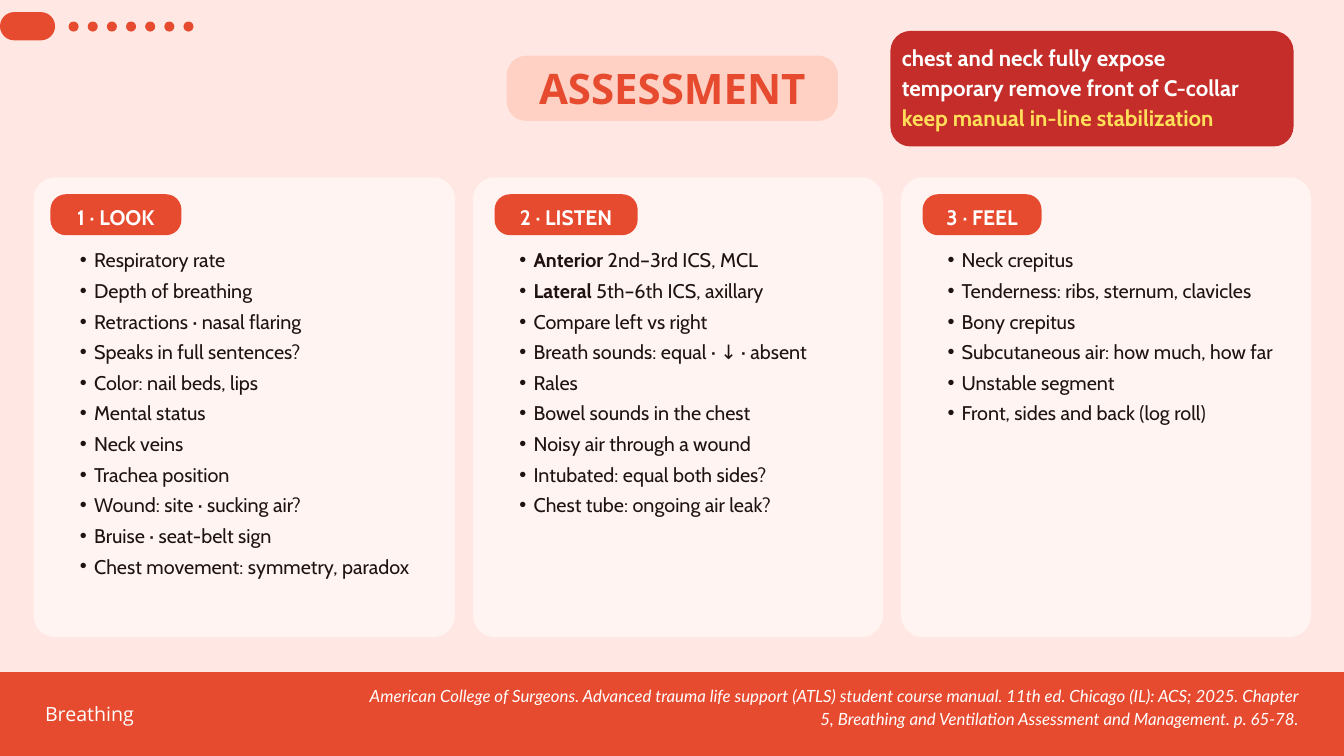
from lxml.etree import SubElement
from pptx import Presentation
from pptx.dml.color import RGBColor
from pptx.enum.shapes import MSO_SHAPE
from pptx.enum.text import MSO_ANCHOR, MSO_AUTO_SIZE, PP_ALIGN
from pptx.oxml.ns import qn
from pptx.util import Inches, Pt

BLUSH = RGBColor(0xFF, 0xE8, 0xE3)
ORANGE = RGBColor(0xE7, 0x4B, 0x2F)
PEACH = RGBColor(0xFF, 0xD0, 0xC4)
CREAM = RGBColor(0xFF, 0xF4, 0xF1)
RED = RGBColor(0xC4, 0x2D, 0x29)
YELLOW = RGBColor(0xFF, 0xDE, 0x59)
WHITE = RGBColor(0xFF, 0xFF, 0xFF)
INK = RGBColor(0x1F, 0x12, 0x10)

CARD_TOP, CARD_HEIGHT, CARD_GAP = 2.64, 6.84, 0.27

STEPS = [
    ("1 · LOOK", 6.27, 0.25, 1.95, [
        "Respiratory rate", "Depth of breathing", "Retractions · nasal flaring",
        "Speaks in full sentences?", "Color: nail beds, lips", "Mental status",
        "Neck veins", "Trachea position", "Wound: site · sucking air?",
        "Bruise · seat-belt sign", "Chest movement: symmetry, paradox"]),
    ("2 · LISTEN", 6.1, 0.32, 2.13, [
        ("Anterior", " 2nd–3rd ICS, MCL"), ("Lateral", " 5th–6th ICS, axillary"),
        "Compare left vs right", "Breath sounds: equal · ↓ · absent", "Rales",
        "Bowel sounds in the chest", "Noisy air through a wound",
        "Intubated: equal both sides?", "Chest tube: ongoing air leak?"]),
    ("3 · FEEL", 6.1, 0.32, 1.77, [
        "Neck crepitus", "Tenderness: ribs, sternum, clavicles", "Bony crepitus",
        "Subcutaneous air: how much, how far", "Unstable segment",
        "Front, sides and back (log roll)"]),
]

CITATION = (
    "American College of Surgeons. Advanced trauma life support (ATLS) student "
    "course manual. 11th ed. Chicago (IL): ACS; 2025. Chapter 5, Breathing and "
    "Ventilation Assessment and Management. p. 65-78."
)


def apply(target, values):
    for name, value in values.items():
        setattr(target, name, value)


class SlideBuilder:
    STYLES = {
        "title": ("Open Sans", 45, True, False, 51.7, PP_ALIGN.CENTER),
        "pill": ("Cabin", 22.5, True, False, 31.5, PP_ALIGN.CENTER),
        "list": ("Cabin", 21.2, False, False, 32.8, PP_ALIGN.LEFT),
        "callout": ("Cabin", 23.9, True, False, 32.3, PP_ALIGN.LEFT),
        "section": ("Open Sans", 21, False, False, 29.4, PP_ALIGN.LEFT),
        "citation": ("Lato", 18, False, True, 25.2, PP_ALIGN.RIGHT),
    }

    def __init__(self, slide):
        self.slide = slide
        slide.background.fill.solid()
        slide.background.fill.fore_color.rgb = BLUSH

    def panel(self, kind, box, color, radius=None):
        panel = self.slide.shapes.add_shape(kind, *map(Inches, box))
        panel.shadow.inherit = False
        panel.fill.solid()
        panel.fill.fore_color.rgb = color
        panel.line.fill.background()
        if radius is not None:
            panel.adjustments[0] = radius / min(box[2:])
        return panel

    def rounded(self, box, color, radius):
        return self.panel(MSO_SHAPE.ROUNDED_RECTANGLE, box, color, radius)

    def label(self, box, text, style, color):
        label = self.slide.shapes.add_textbox(*map(Inches, box))
        self.set_lines(label, [(text, color)], style)

    def placeholder(self, index, box, lines, style, **options):
        holder = next(p for p in self.slide.placeholders
                      if p.placeholder_format.idx == index)
        self.slide.shapes.element.append(holder.element)
        apply(holder, dict(zip(("left", "top", "width", "height"), map(Inches, box))))
        self.set_lines(holder, lines, style, **options)

    def set_lines(self, holder, lines, style, anchor=MSO_ANCHOR.TOP, inset=0,
                  bullet=False):
        frame = holder.text_frame
        margins = ("margin_left", "margin_top", "margin_right", "margin_bottom")
        apply(frame, {"word_wrap": True, "auto_size": MSO_AUTO_SIZE.NONE,
                      "vertical_anchor": anchor,
                      **dict.fromkeys(margins, Inches(inset))})
        font, size, bold, italic, spacing, alignment = self.STYLES[style]
        for number, (content, color) in enumerate(lines):
            paragraph = frame.add_paragraph() if number else frame.paragraphs[0]
            apply(paragraph, {"alignment": alignment, "line_spacing": Pt(spacing),
                              "space_before": Pt(0), "space_after": Pt(0)})
            if bullet:
                self.add_bullet(paragraph)
            lead, rest = content if isinstance(content, tuple) else ("", content)
            for text, strong in ((lead, True), (rest, bold)):
                if text:
                    run = paragraph.add_run()
                    run.text = text
                    apply(run.font, {"name": font, "size": Pt(size),
                                     "bold": strong, "italic": italic})
                    run.font.color.rgb = color

    def add_bullet(self, paragraph):
        properties = paragraph._p.get_or_add_pPr()
        properties.set("marL", str(Inches(0.42)))
        properties.set("indent", str(Inches(-0.21)))
        SubElement(properties, qn("a:buFont"), typeface="Arial")
        SubElement(properties, qn("a:buChar"), char="•")

    def card(self, left, step, index):
        heading, width, pill_offset, pill_width, findings = step
        self.rounded((left, CARD_TOP, width, CARD_HEIGHT), CREAM, 0.32)
        pill = self.rounded((left + pill_offset, CARD_TOP + 0.25, pill_width, 0.61),
                            ORANGE, 0.23)
        self.set_lines(pill, [(heading, WHITE)], "pill", MSO_ANCHOR.MIDDLE, 0.06)
        self.placeholder(index, (left + 0.48, CARD_TOP + 0.95, width - 0.65, 5),
                         [(finding, INK) for finding in findings], "list", bullet=True)


def main():
    presentation = Presentation()
    apply(presentation, {"slide_width": Inches(20), "slide_height": Inches(11.25)})
    comparison = presentation.slide_layouts.get_by_name("Comparison")
    builder = SlideBuilder(presentation.slides.add_slide(comparison))

    builder.panel(MSO_SHAPE.RECTANGLE, (0, 10, 20, 1.25), ORANGE)
    builder.label((0.67, 10.38, 3.22, 0.51), "Breathing", "section", WHITE)
    builder.label((5.43, 10.15, 13.9, 0.78), CITATION, "citation", WHITE)

    title_box = (7.54, 0.83, 4.93, 0.97)
    builder.rounded(title_box, PEACH, 0.29)
    builder.placeholder(0, title_box, [("ASSESSMENT", ORANGE)], "title",
                        anchor=MSO_ANCHOR.MIDDLE)

    left = 0.5
    for step, index in zip(STEPS, (2, 4, 3)):
        builder.card(left, step, index)
        left += step[1] + CARD_GAP

    builder.rounded((13.25, 0.46, 6, 1.72), RED, 0.3)
    builder.placeholder(1, (13.42, 0.61, 5.75, 1.34), [
        ("chest and neck fully expose", WHITE),
        ("temporary remove front of C-collar", WHITE),
        ("keep manual in-line stabilization", YELLOW),
    ], "callout")

    builder.rounded((0, 0.18, 0.82, 0.42), ORANGE, 0.21)
    for dot in range(7):
        builder.panel(MSO_SHAPE.OVAL, (1.02 + dot * 0.285, 0.32, 0.15, 0.15), ORANGE)

    presentation.save("out.pptx")


if __name__ == "__main__":
    main()
